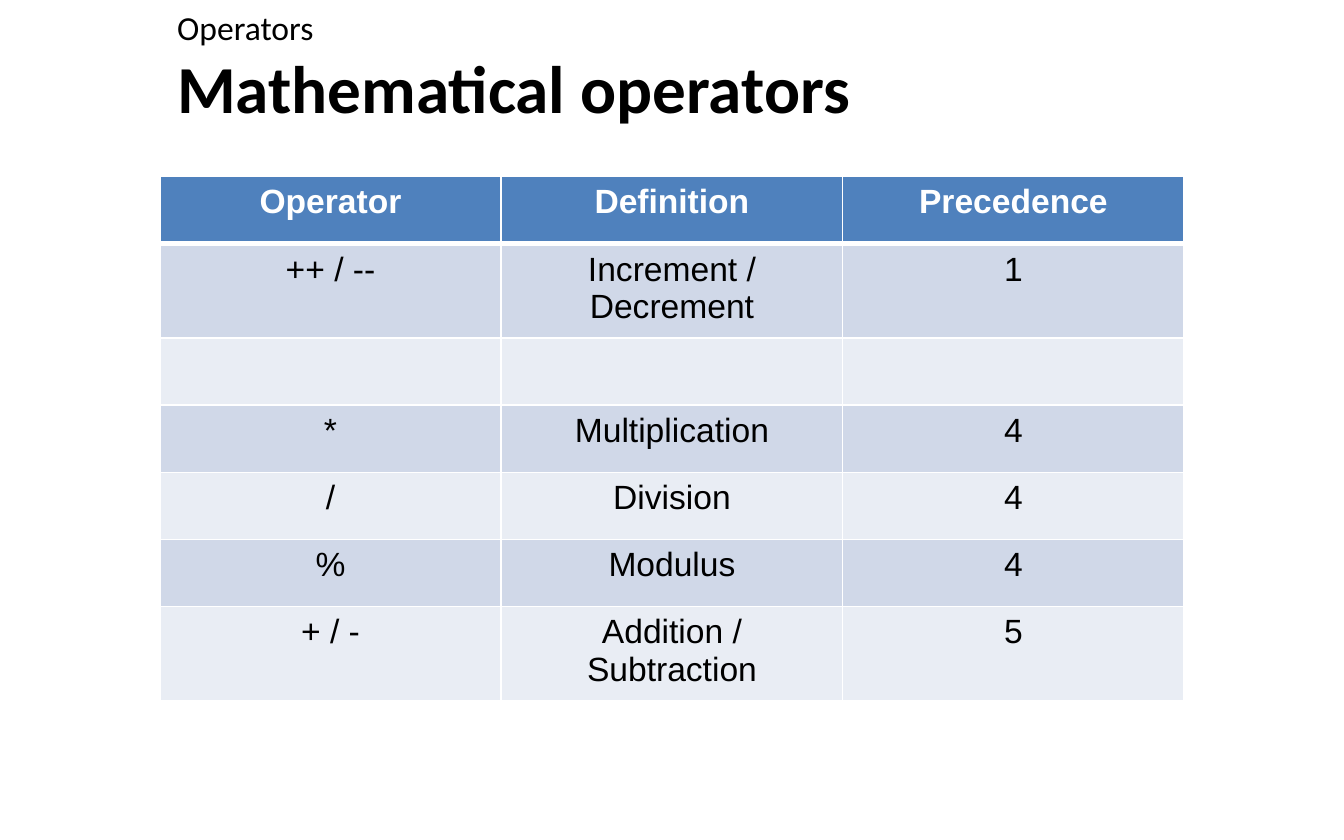
from collections import namedtuple
from dataclasses import dataclass

from lxml.etree import SubElement
from pptx import Presentation
from pptx.dml.color import RGBColor
from pptx.enum.text import MSO_ANCHOR, PP_ALIGN
from pptx.oxml.ns import qn
from pptx.util import Cm, Pt

Box = namedtuple("Box", "left top width height")


@dataclass(frozen=True)
class Theme:
    ink: str = "000000"
    white: str = "FFFFFF"
    head: str = "4F81BD"
    bands: tuple = ("D0D8E8", "E9EDF4")
    title: int = 36
    text: int = 18
    title_font: str = "Calibri"
    table_font: str = "Arial"
    line: int = 1
    head_line: int = 3


THEME = Theme()

ROWS = [
    ("Operator", "Definition", "Precedence"),
    ("++ / --", "Increment / Decrement", "1"),
    ("", "", ""),
    ("*", "Multiplication", "4"),
    ("/", "Division", "4"),
    ("%", "Modulus", "4"),
    ("+ / -", "Addition / Subtraction", "5"),
]
TALL_ROWS = (1, 6)
ROW_HEIGHT, TALL_HEIGHT = 1.27, 1.7


def set_font(font, color, **values):
    for name, value in values.items():
        setattr(font, name, value)
    font.color.rgb = RGBColor.from_string(color)


def add_text(slide, box, text, size, bold=False, frame_values=None, before=0):
    frame = slide.shapes.add_textbox(*map(Cm, box)).text_frame
    for name, value in {"word_wrap": True, **(frame_values or {})}.items():
        setattr(frame, name, value)
    par = frame.paragraphs[0]
    par.space_before = Pt(before)
    run = par.add_run()
    run.text = text
    set_font(run.font, THEME.ink, name=THEME.title_font, size=Pt(size), bold=bold)


def add_header(slide, box):
    """Place the topic line above the slide title."""
    topic = 0.94
    add_text(slide, box._replace(height=topic), "Operators", THEME.text,
             before=THEME.text * 0.2)
    title = box._replace(top=box.top + topic, height=box.height - topic)
    add_text(slide, title, "Mathematical operators", THEME.title, bold=True,
             frame_values={"vertical_anchor": MSO_ANCHOR.MIDDLE})


def set_borders(cell, widths):
    """Draw white cell edges; widths maps each edge tag to points."""
    props = cell._tc.get_or_add_tcPr()
    for edge, width in widths.items():
        line = SubElement(props, qn(f"a:{edge}"), w=str(Pt(width)))
        fill = SubElement(line, qn("a:solidFill"))
        SubElement(fill, qn("a:srgbClr"), val=THEME.white)


def fill_cell(cell, text, row):
    is_head = row == 0
    widths = dict.fromkeys(("lnL", "lnR", "lnT", "lnB"), THEME.line)
    if is_head:
        widths["lnB"] = THEME.head_line
    elif row == 1:
        widths["lnT"] = THEME.head_line
    set_borders(cell, widths)
    cell.fill.solid()
    color = THEME.head if is_head else THEME.bands[(row - 1) % 2]
    cell.fill.fore_color.rgb = RGBColor.from_string(color)
    par = cell.text_frame.paragraphs[0]
    par.alignment = PP_ALIGN.CENTER
    if text:
        run = par.add_run()
        run.text = text
        set_font(run.font, THEME.white if is_head else THEME.ink,
                 name=THEME.table_font, size=Pt(THEME.text), bold=is_head)


def add_grid(slide, box):
    count = len(ROWS[0])
    table = slide.shapes.add_table(len(ROWS), count, *map(Cm, box)).table
    for col in table.columns:
        col.width = Cm(box.width / count)
    for i, texts in enumerate(ROWS):
        table.rows[i].height = Cm(TALL_HEIGHT if i in TALL_ROWS else ROW_HEIGHT)
        for j, text in enumerate(texts):
            fill_cell(table.cell(i, j), text, i)


def main():
    deck = Presentation()
    deck.slide_width, deck.slide_height = Cm(25.4), Cm(15.88)
    slide = deck.slides.add_slide(deck.slide_layouts[6])
    add_header(slide, Box(3.1, 0, 21.62, 2.34))
    height = ROW_HEIGHT * len(ROWS) + (TALL_HEIGHT - ROW_HEIGHT) * len(TALL_ROWS)
    add_grid(slide, Box(3.02, 3.34, 19.36, height))
    deck.save("out.pptx")


if __name__ == "__main__":
    main()
